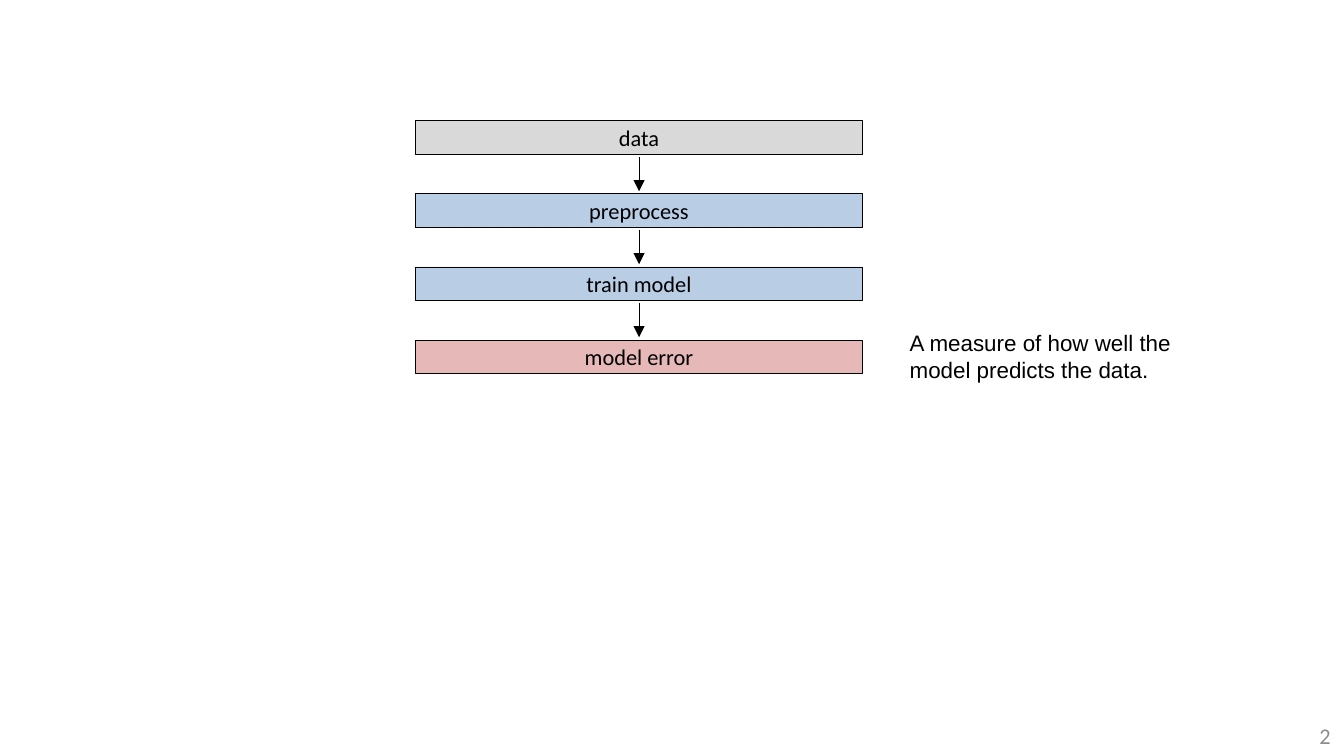
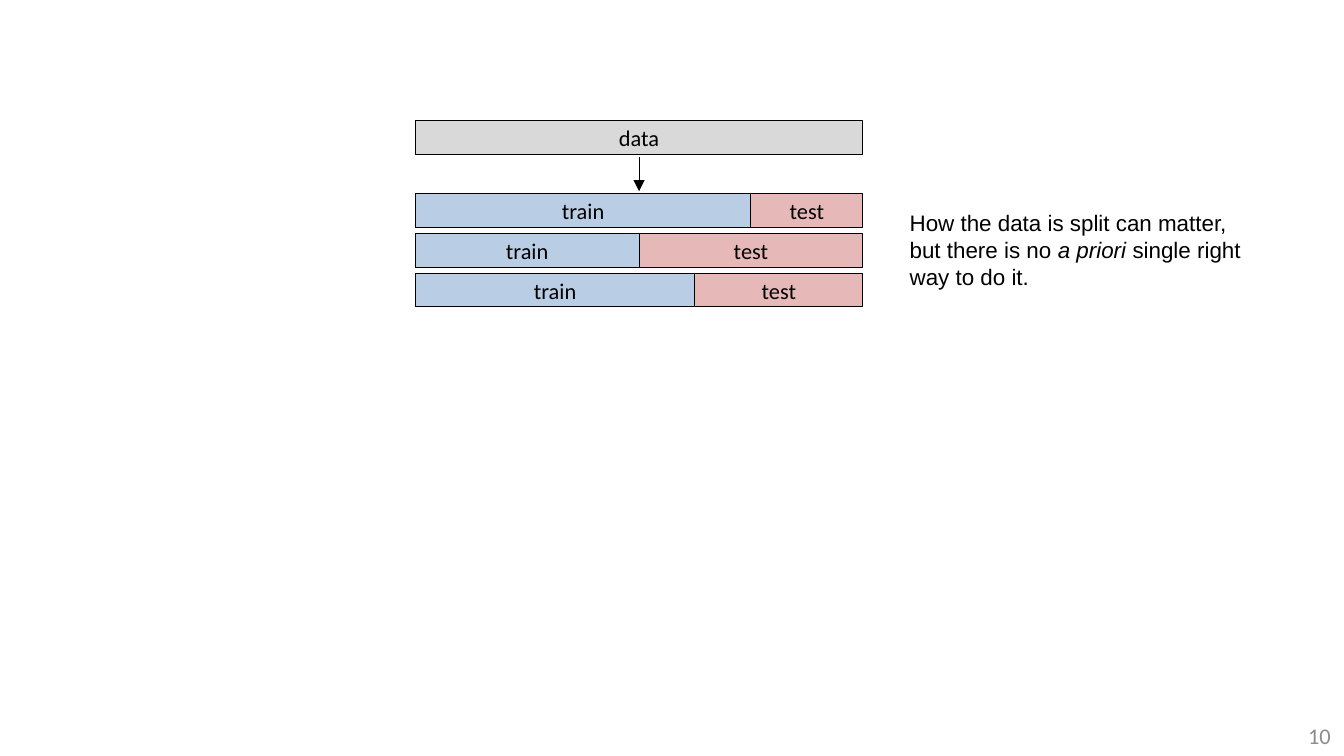
from lxml import etree
from pptx import Presentation
from pptx.dml.color import RGBColor
from pptx.enum import shapes, text
from pptx.oxml import ns
from pptx.util import Inches, Pt

BLACK, GREY, BLUE, RED, NUMBER_GREY = "000000", "D9D9D9", "B9CDE5", "E6B9B8", "8C8C8C"
PAGE_WIDTH = 10
PAGE_HEIGHT = PAGE_WIDTH * 9 / 16
BAR_LEFT, BAR_RIGHT, BAR_HEIGHT = 3.09, 6.42, 0.25
BAR_WIDTH = BAR_RIGHT - BAR_LEFT
FIRST_TOP, STEP = 0.9, 1.63 / 3
SPLIT_STEP = 0.59 / 2
ARROW_GAP = 0.02
NOTE_LEFT = 6.67


def color(value):
    return RGBColor.from_string(value)


def write(shape, *pieces, font="Calibri", fill=BLACK, align=text.PP_ALIGN.CENTER,
          anchor=text.MSO_ANCHOR.MIDDLE):
    """Fill a shape with one paragraph; pieces alternate upright and italic."""
    frame = shape.text_frame
    frame.word_wrap = True
    frame.vertical_anchor = anchor
    para = frame.paragraphs[0]
    para.alignment = align
    for index, piece in enumerate(pieces):
        span = para.add_run()
        span.text = piece
        span.font.name = font
        span.font.size = Pt(12)
        span.font.italic = index % 2 == 1
        span.font.color.rgb = color(fill)


# Each bar: label, fill, top, start and end as shares of the full width
steps = [("data", GREY), ("preprocess", BLUE), ("train model", BLUE), ("model error", RED)]
pipeline = [(label, fill, FIRST_TOP + row * STEP, 0, 1)
            for row, (label, fill) in enumerate(steps)]

splits = [("data", GREY, FIRST_TOP, 0, 1)]
for row, share in enumerate([3 / 4, 1 / 2, 5 / 8]):
    top = FIRST_TOP + STEP + row * SPLIT_STEP
    splits += [("train", BLUE, top, 0, share), ("test", RED, top, share, 1)]

# Each page: number, bars, arrow count, note place (top, width, height), note text
pages = [
    ("2", pipeline, 3, (2.4, 2.25, 0.5),
     ["A measure of how well the model predicts the data."]),
    ("10", splits, 1, (1.51, 2.67, 0.71),
     ["How the data is split can matter, but there is no ", "a priori ",
      "single right way to do it."]),
]

deck = Presentation()
deck.slide_width, deck.slide_height = Inches(PAGE_WIDTH), Inches(PAGE_HEIGHT)

for number, bars, arrow_count, (note_top, note_width, note_height), note in pages:
    page = deck.slides.add_slide(deck.slide_layouts[6])

    number_box = page.shapes.add_textbox(
        Inches(7.75), Inches(PAGE_HEIGHT - 0.3), Inches(2.25), Inches(0.3))
    write(number_box, number, fill=NUMBER_GREY, align=text.PP_ALIGN.RIGHT)

    for label, fill, top, start, end in bars:
        bar = page.shapes.add_shape(
            shapes.MSO_SHAPE.RECTANGLE, Inches(BAR_LEFT + start * BAR_WIDTH), Inches(top),
            Inches((end - start) * BAR_WIDTH), Inches(BAR_HEIGHT))
        bar.shadow.inherit = False
        bar.fill.solid()
        bar.fill.fore_color.rgb = color(fill)
        bar.line.color.rgb = color(BLACK)
        bar.line.width = Pt(0.5)
        write(bar, label)

    center = Inches(BAR_LEFT + BAR_WIDTH / 2)
    for row in range(arrow_count):
        top = FIRST_TOP + row * STEP
        arrow = page.shapes.add_connector(
            shapes.MSO_CONNECTOR.STRAIGHT, center, Inches(top + BAR_HEIGHT + ARROW_GAP),
            center, Inches(top + STEP - ARROW_GAP))
        arrow.line.color.rgb = color(BLACK)
        arrow.line.width = Pt(0.5)
        properties = arrow.element.spPr
        etree.SubElement(properties.find(ns.qn("a:ln")), ns.qn("a:tailEnd"), type="triangle")
        etree.SubElement(properties, ns.qn("a:effectLst"))

    note_box = page.shapes.add_textbox(
        Inches(NOTE_LEFT), Inches(note_top), Inches(note_width), Inches(note_height))
    note_box.text_frame.auto_size = text.MSO_AUTO_SIZE.SHAPE_TO_FIT_TEXT
    write(note_box, *note, font="Arial", align=text.PP_ALIGN.LEFT, anchor=text.MSO_ANCHOR.TOP)

deck.save("out.pptx")
